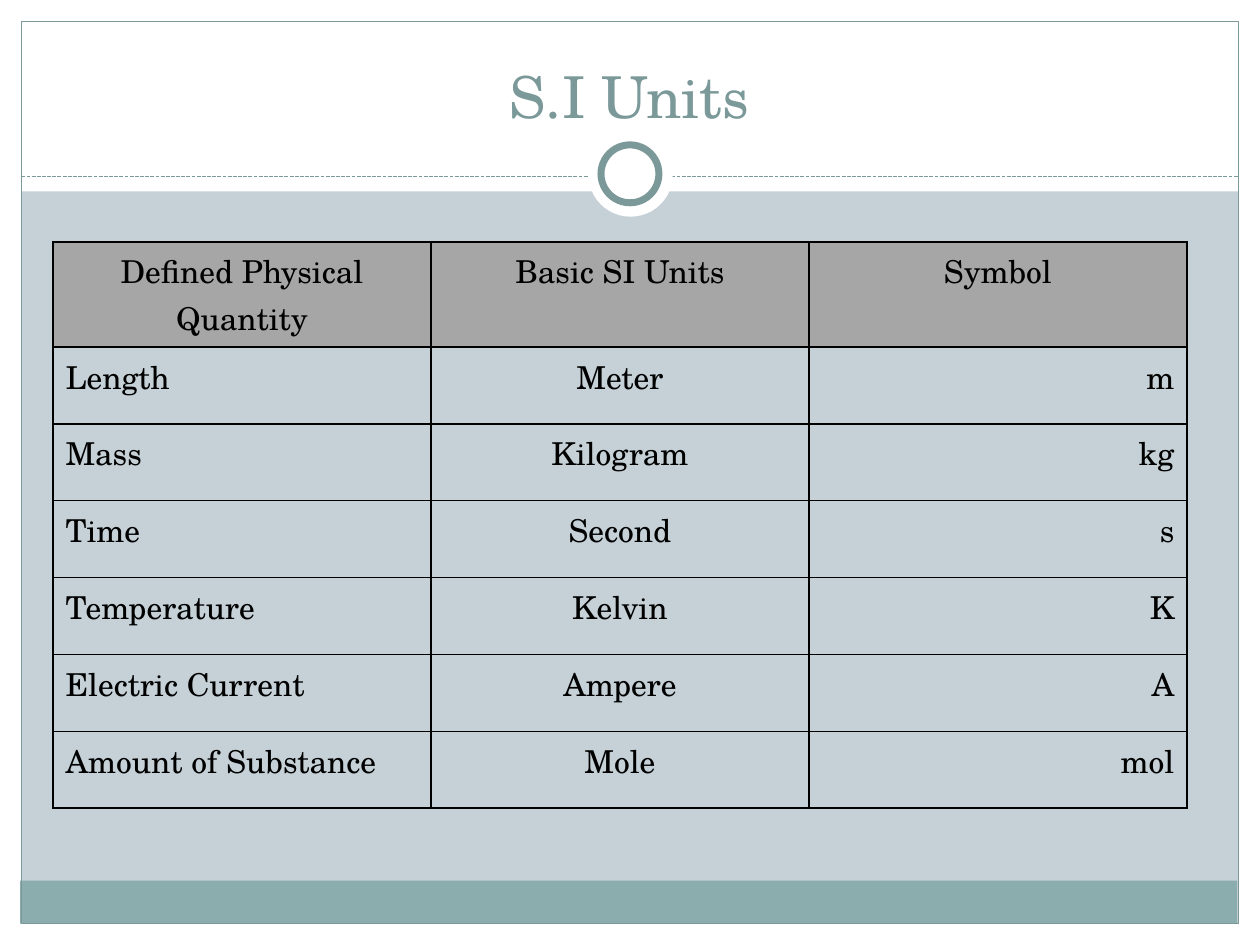
from lxml import etree
from pptx import Presentation
from pptx.dml.color import RGBColor
from pptx.enum import dml, shapes, text
from pptx.oxml import ns
from pptx.util import Inches, Pt

TITLE = "S.I Units"
UNITS = [
    ("Defined Physical Quantity", "Basic SI Units", "Symbol"),
    ("Length", "Meter", "m"),
    ("Mass", "Kilogram", "kg"),
    ("Time", "Second", "s"),
    ("Temperature", "Kelvin", "K"),
    ("Electric Current", "Ampere", "A"),
    ("Amount of Substance", "Mole", "mol"),
]
COLORS = {"back": "C5D1D7", "white": "FFFFFF", "band": "8CADAE",
          "accent": "7C999A", "header": "A6A6A6", "ink": "000000"}
FONT = "TeX Gyre Schola"
WIDTH, HEIGHT, MARGIN = 10, 7.5, 0.17
RULE_Y = 1.4
COLUMN_WIDTH, ROW_HEIGHT = 3, 0.61
ALIGN = text.PP_ALIGN
COLUMN_ALIGN = (ALIGN.LEFT, ALIGN.CENTER, ALIGN.RIGHT)
RECT, OVAL = shapes.MSO_SHAPE.RECTANGLE, shapes.MSO_SHAPE.OVAL

# kind, (left, top, width, height), fill, line width
FRAME = [
    (RECT, (0, HEIGHT - MARGIN, WIDTH, MARGIN), "white", None),
    (RECT, (0, 0, WIDTH, 1.52), "white", None),
    (RECT, (0, 0, MARGIN, HEIGHT), "white", None),
    (RECT, (WIDTH - MARGIN, 0, MARGIN, HEIGHT), "white", None),
    (RECT, (0.16, 6.99, 9.66, 0.34), "band", None),
    (RECT, (MARGIN, MARGIN, WIDTH - 2 * MARGIN, HEIGHT - 2 * MARGIN), None, 0.75),
]
RING = [
    (OVAL, (4.67, 1.05, 0.67, 0.67), "white", None),
    (OVAL, (4.77, 1.15, 0.46, 0.46), "white", 4),
]


def rgb(name):
    """Return the named colour."""
    return RGBColor.from_string(COLORS[name])


def paint(fill, name):
    """Fill with the named colour, or leave it clear."""
    if name is None:
        fill.background()
    else:
        fill.solid()
        fill.fore_color.rgb = rgb(name)


def write(frame, wording, size, color, align):
    """Put one formatted paragraph into a text frame."""
    paragraph = frame.paragraphs[0]
    paragraph.alignment = align
    run = paragraph.add_run()
    run.text = wording
    for key, value in {"name": FONT, "size": Pt(size), "bold": False}.items():
        setattr(run.font, key, value)
    run.font.color.rgb = rgb(color)


def draw(slide, parts):
    """Add flat shapes in order, from back to front."""
    for kind, box, fill, line_width in parts:
        part = slide.shapes.add_shape(kind, *map(Inches, box))
        part.shadow.inherit = False
        paint(part.fill, fill)
        paint(part.line.fill, "accent" if line_width else None)
        if line_width:
            part.line.width = Pt(line_width)


def draw_rule(slide):
    """Add the dashed rule under the title."""
    ends = (MARGIN, RULE_Y, WIDTH - MARGIN, RULE_Y)
    rule = slide.shapes.add_connector(
        shapes.MSO_CONNECTOR.STRAIGHT, *map(Inches, ends))
    rule.line.color.rgb = rgb("accent")
    rule.line.width = Pt(0.75)
    rule.line.dash_style = dml.MSO_LINE.SQUARE_DOT
    etree.SubElement(rule._element.spPr, ns.qn("a:effectLst"))


def set_borders(cell):
    """Give a cell a thin line on all four sides."""
    properties = cell._tc.get_or_add_tcPr()
    for side in ("lnL", "lnR", "lnT", "lnB"):
        line = etree.SubElement(properties, ns.qn("a:" + side), w=str(Pt(1)))
        fill = etree.SubElement(line, ns.qn("a:solidFill"))
        etree.SubElement(fill, ns.qn("a:srgbClr"), val=COLORS["ink"])


def add_units(slide):
    """Add the table of units."""
    rows, columns = len(UNITS), len(UNITS[0])
    box = (0.42, 1.92, columns * COLUMN_WIDTH, rows * ROW_HEIGHT)
    table = slide.shapes.add_table(rows, columns, *map(Inches, box)).table
    table.first_row = table.horz_banding = False
    for row, entries in enumerate(UNITS):
        for column, entry in enumerate(entries):
            cell = table.cell(row, column)
            set_borders(cell)
            paint(cell.fill, None if row else "header")
            align = COLUMN_ALIGN[column] if row else ALIGN.CENTER
            write(cell.text_frame, entry, 18, "ink", align)


def add_title(slide):
    """Place the title in front of the white band."""
    title = slide.shapes.title
    box = {"left": 0.33, "top": 0.25, "width": 9.33, "height": 0.83}
    for key, value in box.items():
        setattr(title, key, Inches(value))
    frame = title.text_frame
    settings = {"vertical_anchor": text.MSO_ANCHOR.BOTTOM,
                "auto_size": text.MSO_AUTO_SIZE.NONE, "word_wrap": True}
    for key, value in settings.items():
        setattr(frame, key, value)
    write(frame, TITLE, 33, "accent", ALIGN.CENTER)
    slide.shapes._spTree.append(title._element)


deck = Presentation()
deck.slide_width, deck.slide_height = Inches(WIDTH), Inches(HEIGHT)
slide = deck.slides.add_slide(deck.slide_layouts.get_by_name("Title Only"))
paint(slide.background.fill, "back")
draw(slide, FRAME)
draw_rule(slide)
draw(slide, RING)
add_title(slide)
add_units(slide)
deck.save("out.pptx")
